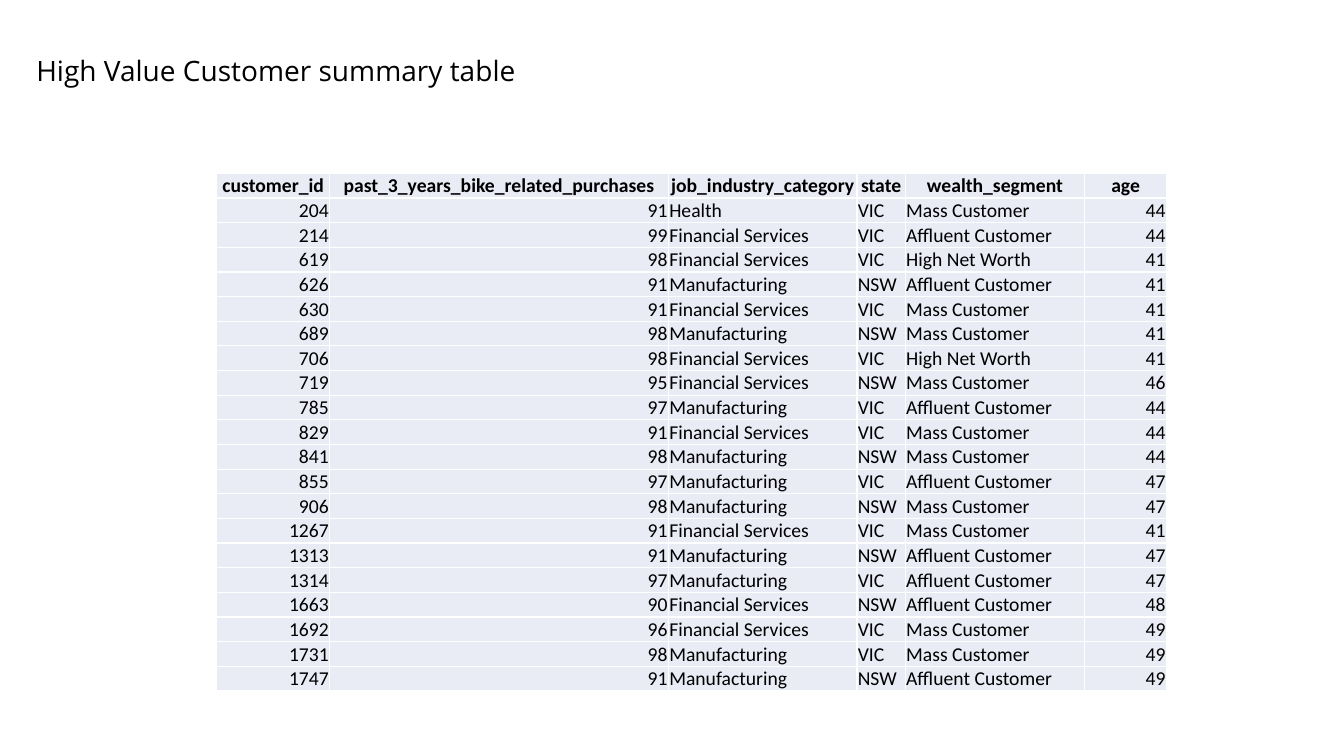
from pptx import Presentation
from pptx.dml.color import RGBColor
from pptx.enum.text import MSO_ANCHOR, MSO_AUTO_SIZE, PP_ALIGN
from pptx.util import Inches, Pt

LEFT, CENTER, RIGHT = PP_ALIGN.LEFT, PP_ALIGN.CENTER, PP_ALIGN.RIGHT
TOP, BOTTOM = MSO_ANCHOR.TOP, MSO_ANCHOR.BOTTOM
FIT_SHAPE = MSO_AUTO_SIZE.SHAPE_TO_FIT_TEXT
TITLE_ONLY = 5
BLACK, PALE_BLUE = "000000", "E9EBF5"
CELL_INSET = Pt(0.6)

# Heading, width in inches and alignment of each column
COLUMNS = [
    ("customer_id", 1.12, RIGHT),
    ("past_3_years_bike_related_purchases", 3.36, RIGHT),
    ("job_industry_category", 1.87, LEFT),
    ("state", 0.48, LEFT),
    ("wealth_segment", 1.78, LEFT),
    ("age", 0.81, RIGHT),
]
HEALTH, FINANCE, MAKING = "Health", "Financial Services", "Manufacturing"
MASS, AFFLUENT, HIGH = "Mass Customer", "Affluent Customer", "High Net Worth"
CUSTOMERS = [
    (204, 91, HEALTH, "VIC", MASS, 44),
    (214, 99, FINANCE, "VIC", AFFLUENT, 44),
    (619, 98, FINANCE, "VIC", HIGH, 41),
    (626, 91, MAKING, "NSW", AFFLUENT, 41),
    (630, 91, FINANCE, "VIC", MASS, 41),
    (689, 98, MAKING, "NSW", MASS, 41),
    (706, 98, FINANCE, "VIC", HIGH, 41),
    (719, 95, FINANCE, "NSW", MASS, 46),
    (785, 97, MAKING, "VIC", AFFLUENT, 44),
    (829, 91, FINANCE, "VIC", MASS, 44),
    (841, 98, MAKING, "NSW", MASS, 44),
    (855, 97, MAKING, "VIC", AFFLUENT, 47),
    (906, 98, MAKING, "NSW", MASS, 47),
    (1267, 91, FINANCE, "VIC", MASS, 41),
    (1313, 91, MAKING, "NSW", AFFLUENT, 47),
    (1314, 97, MAKING, "VIC", AFFLUENT, 47),
    (1663, 90, FINANCE, "NSW", AFFLUENT, 48),
    (1692, 96, FINANCE, "VIC", MASS, 49),
    (1731, 98, MAKING, "VIC", MASS, 49),
    (1747, 91, MAKING, "NSW", AFFLUENT, 49),
]


def color(hex_value):
    """Turn a hex string into a colour."""
    return RGBColor.from_string(hex_value)


def style_text(paragraph, font_name, size, alignment, bold=False):
    """Set the font and alignment of a whole paragraph."""
    paragraph.alignment = alignment
    paragraph.font.name = font_name
    paragraph.font.size = Pt(size)
    paragraph.font.bold = bold
    paragraph.font.color.rgb = color(BLACK)


presentation = Presentation()
presentation.slide_width = Inches(13.33)
presentation.slide_height = Inches(7.5)
slide = presentation.slides.add_slide(presentation.slide_layouts[TITLE_ONLY])

# Title
title = slide.shapes.title
title.left, title.top = Inches(0.26), Inches(0.48)
title.width, title.height = Inches(5.52), Inches(0.44)
title_frame = title.text_frame
title_frame.text = "High Value Customer summary table"
title_frame.word_wrap = False
title_frame.auto_size = FIT_SHAPE
title_frame.vertical_anchor = TOP
style_text(title_frame.paragraphs[0], "Open Sans", 20, LEFT)

# Customer table
headings = [heading for heading, width, alignment in COLUMNS]
rows = [headings] + CUSTOMERS
table_width = sum(width for heading, width, alignment in COLUMNS)
table = slide.shapes.add_table(
    len(rows), len(COLUMNS),
    Inches(2.15), Inches(1.72), Inches(table_width), Inches(5.14),
).table
table.first_row = False
table.horz_banding = False
for table_column, (heading, width, alignment) in zip(table.columns, COLUMNS):
    table_column.width = Inches(width)

for row_index, row in enumerate(rows):
    is_header = row_index == 0
    for column_index, value in enumerate(row):
        cell = table.cell(row_index, column_index)
        cell.text = str(value)
        cell.fill.solid()
        cell.fill.fore_color.rgb = color(PALE_BLUE)
        cell.margin_left = cell.margin_right = cell.margin_top = CELL_INSET
        cell.margin_bottom = 0
        cell.vertical_anchor = TOP if is_header else BOTTOM
        alignment = CENTER if is_header else COLUMNS[column_index][2]
        style_text(cell.text_frame.paragraphs[0], "Calibri", 14, alignment, is_header)

presentation.save("out.pptx")
